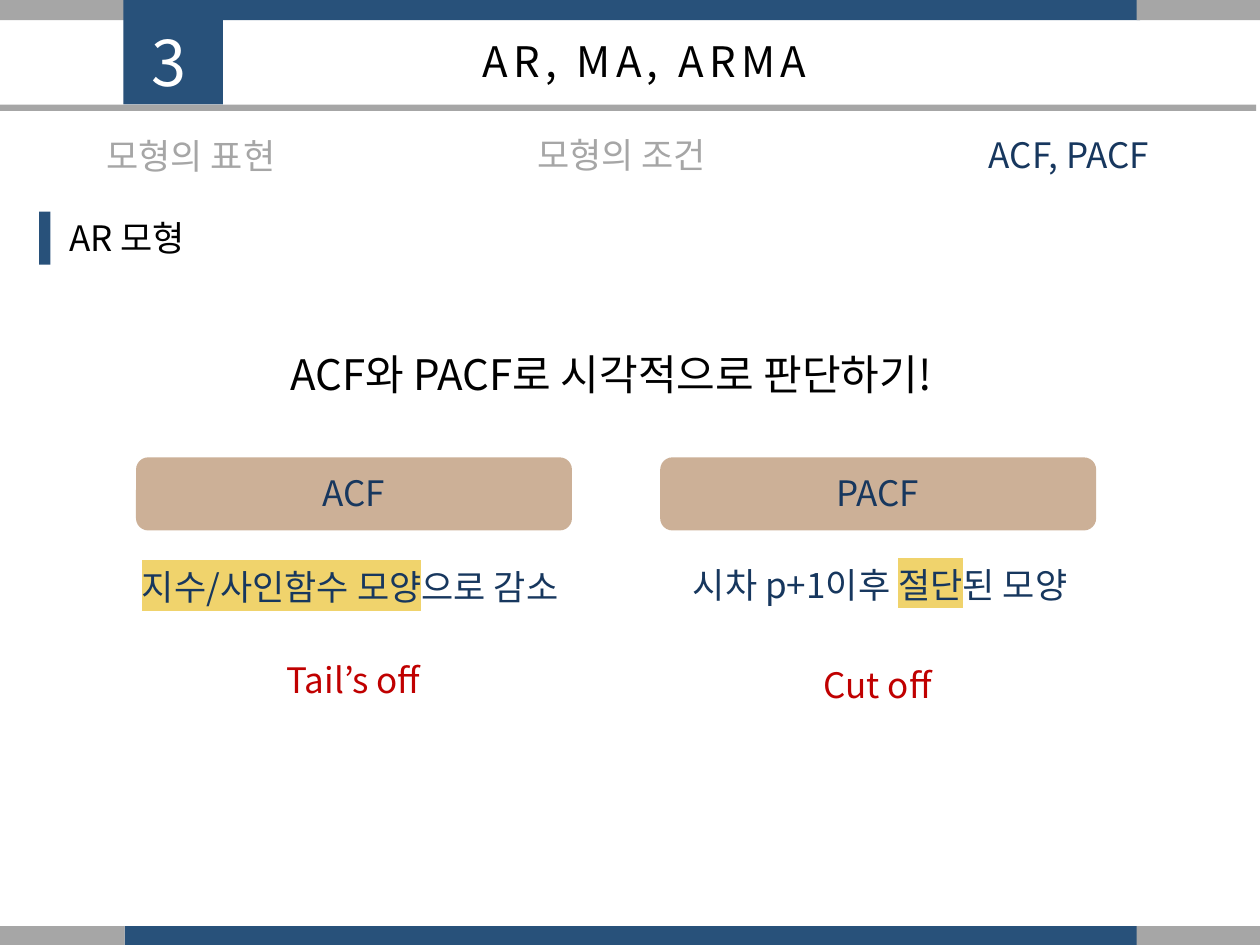
from lxml.etree import SubElement
from pptx import Presentation
from pptx.dml.color import RGBColor
from pptx.enum.shapes import MSO_SHAPE
from pptx.enum.text import MSO_AUTO_SIZE, PP_ALIGN
from pptx.oxml.ns import qn
from pptx.util import Pt

EMU_PER_PX = 9144  # 100 px to the inch
SLIDE_WIDTH, SLIDE_HEIGHT = 1000, 750
FONT_NAME = "Noto Sans CJK KR"
BLUE = RGBColor(0x28, 0x51, 0x7A)
NAVY = RGBColor(0x17, 0x37, 0x5E)
GRAY = RGBColor(0xA6, 0xA6, 0xA6)
TAN = RGBColor(0xCC, 0xB0, 0x97)
YELLOW = RGBColor(0xF0, 0xD3, 0x6C)
RED = RGBColor(0xC0, 0x00, 0x00)
BLACK = RGBColor(0x00, 0x00, 0x00)
WHITE = RGBColor(0xFF, 0xFF, 0xFF)


def px(*lengths):
    return [length * EMU_PER_PX for length in lengths]


def add_block(slide, box, color, kind=MSO_SHAPE.RECTANGLE):
    shape = slide.shapes.add_shape(kind, *px(*box))
    shape.shadow.inherit = False
    shape.fill.solid()
    shape.fill.fore_color.rgb = color
    shape.line.fill.background()


def add_text(slide, box, *pieces, size=20, color=NAVY, align=PP_ALIGN.CENTER, spacing=0):
    """Add one paragraph; a piece given as a one-item tuple is highlighted."""
    frame = slide.shapes.add_textbox(*px(*box)).text_frame
    frame.word_wrap = True
    frame.auto_size = MSO_AUTO_SIZE.SHAPE_TO_FIT_TEXT
    paragraph = frame.paragraphs[0]
    paragraph.alignment = align
    for piece in pieces:
        highlighted = isinstance(piece, tuple)
        run = paragraph.add_run()
        run.text = piece[0] if highlighted else piece
        run.font.size = Pt(size)
        run.font.color.rgb = color
        properties = run.font._element
        if spacing:
            properties.set("spc", str(spacing * 100))
        if highlighted:
            highlight = SubElement(properties, qn("a:highlight"))
            SubElement(highlight, qn("a:srgbClr"), val=str(YELLOW))
        run.font.name = FONT_NAME
        SubElement(properties, qn("a:ea"), typeface=FONT_NAME)


def add_band(slide, top):
    height = 16
    add_block(slide, (99, top, 806, height), BLUE)
    add_block(slide, (0, top, 99, height), GRAY)
    add_block(slide, (902, top, 98, height), GRAY)


def add_header(slide, number, title):
    add_block(slide, (98, 0, 79, 83), BLUE)
    add_block(slide, (-5, 83, 1002, 5), GRAY)
    add_text(slide, (91, 14, 87, 71), number, size=36, color=WHITE, spacing=3)
    add_text(slide, (303, 23, 417, 50), title, size=24, color=BLACK, spacing=3)


def add_tabs(slide, tabs, active):
    for left, top, label in tabs:
        color = NAVY if label == active else GRAY
        add_text(slide, (left, top, 197, 44), label, color=color)


def add_section_heading(slide, left, top, label):
    add_block(slide, (left, top, 9, 42), BLUE)
    add_text(slide, (left + 14, top - 1, 113, 44), label, color=BLACK, align=PP_ALIGN.LEFT)


def add_pattern_column(slide, left, top, heading, description, description_box,
                       verdict, verdict_box):
    """Add a heading card with its notes; note boxes are relative to the card."""
    add_block(slide, (left, top, 346, 58), TAN, MSO_SHAPE.ROUNDED_RECTANGLE)
    add_text(slide, (left + 74, top + 6, 197, 44), heading)
    for box, pieces, color in ((description_box, description, NAVY),
                               (verdict_box, [verdict], RED)):
        x, y, width = box
        add_text(slide, (left + x, top + y, width, 44), *pieces, color=color)


def main():
    presentation = Presentation()
    presentation.slide_width, presentation.slide_height = px(SLIDE_WIDTH, SLIDE_HEIGHT)
    slide = presentation.slides.add_slide(presentation.slide_layouts[6])

    for top in (0, 735):
        add_band(slide, top)
    add_header(slide, "3", "AR, MA, ARMA")
    add_tabs(slide, [(53, 102, "모형의 표현"), (395, 101, "모형의 조건"),
                     (750, 101, "ACF, PACF")], active="ACF, PACF")
    add_section_heading(slide, 31, 168, "AR 모형")
    add_text(slide, (218, 272, 534, 50), "ACF와 PACF로 시각적으로 판단하기!",
             size=24, color=BLACK)
    add_pattern_column(slide, 108, 363, "ACF",
                       [("지수/사인함수 모양",), "으로 감소"], (-7, 81, 354),
                       "Tail’s off", (74, 155, 197))
    add_pattern_column(slide, 524, 363, "PACF",
                       ["시차 p+1이후 ", ("절단",), "된 모양"], (9, 79, 331),
                       "Cut off", (12, 159, 321))
    presentation.save("out.pptx")


if __name__ == "__main__":
    main()
